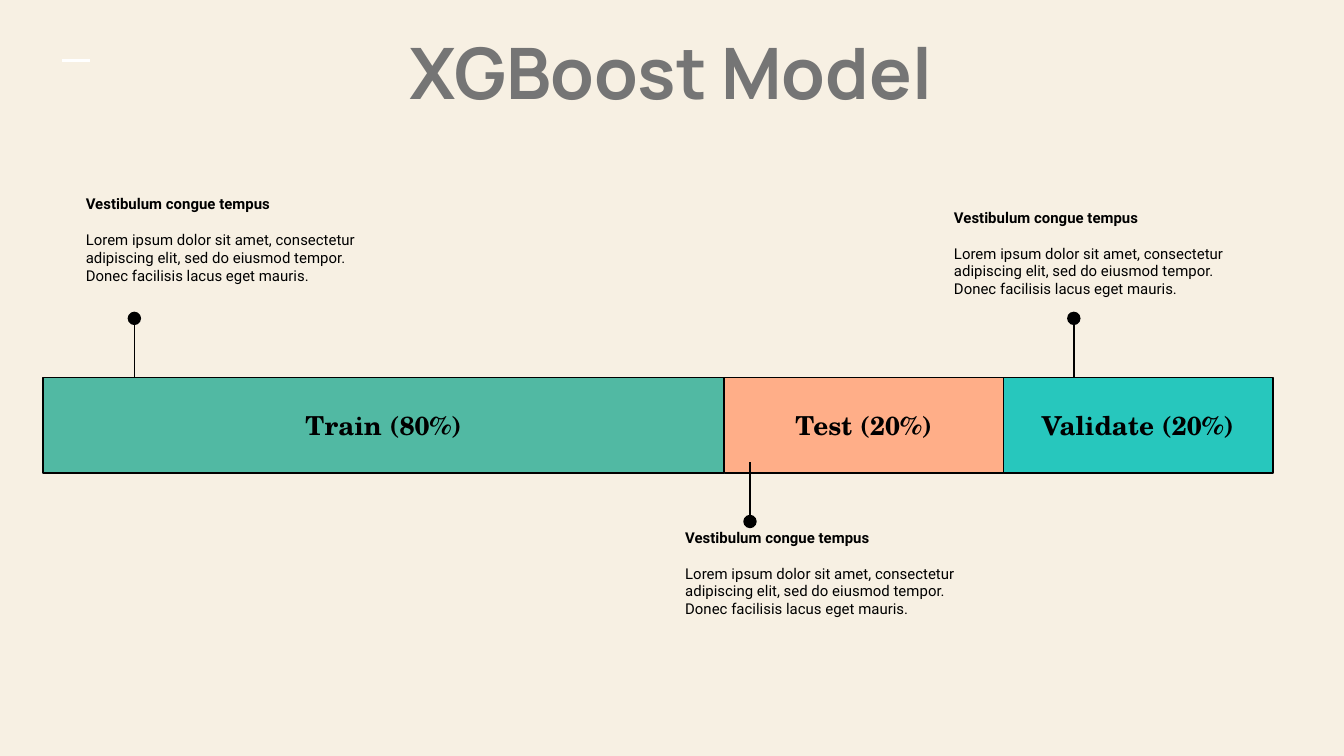
from lxml.etree import SubElement
from pptx import Presentation
from pptx.dml.color import RGBColor
from pptx.enum.shapes import MSO_CONNECTOR as Link, MSO_SHAPE as Shape
from pptx.enum.text import MSO_ANCHOR as Anchor, MSO_AUTO_SIZE as Fit, PP_ALIGN as Align
from pptx.oxml.ns import qn
from pptx.util import Pt

HEX = {
    "back": "F7F0E3", "title": "757575", "ink": "000000", "dash": "FFFFFF",
    "train": "51B9A3", "test": "FFAE88", "valid": "27C7BD",
}
HEAD = "Vestibulum congue tempus"
BODY = ("Lorem ipsum dolor sit amet, consectetur adipiscing elit, "
        "sed do eiusmod tempor. Donec facilisis lacus eget mauris.")
LEFT, TOP, HIGH = 23, 202.3, 51.1
DOT, STEM = 7.2, 28.1

# label, colour, bar width, label width, pin x, dot top, note corner
PARTS = [
    ("Train (80%)", "train", 365, 105, 72, 167, (38.9, 97.2)),
    ("Test (20%)", "test", 149.5, 96.5, 401.8, 275.8, (360, 275.8)),
    ("Validate (20%)", "valid", 144.5, 124, 575.3, 167, (504, 104.4)),
]


def color(name):
    return RGBColor.from_string(HEX[name])


class Deck:
    def __init__(self, wide, high):
        self.prs = Presentation()
        self.prs.slide_width, self.prs.slide_height = Pt(wide), Pt(high)
        self.slide = self.prs.slides.add_slide(self.prs.slide_layouts[5])
        fill = self.slide.background.fill
        fill.solid()
        fill.fore_color.rgb = color("back")

    def style(self, para, face, size, bold=True, tint="ink", align=Align.LEFT):
        font = para.font
        font.name, font.size, font.bold = face, Pt(size), bold
        font.color.rgb = color(tint)
        para.alignment = align

    def frame(self, shape):
        """Set even insets, top anchor and wrapping."""
        text = shape.text_frame
        text.margin_left = text.margin_right = Pt(7.2)
        text.margin_top = text.margin_bottom = Pt(7.2)
        text.vertical_anchor, text.word_wrap = Anchor.TOP, True
        text.auto_size = Fit.NONE
        return text

    def title(self, words, x, y, w, h):
        shape = self.slide.shapes.title
        shape.left, shape.top, shape.width, shape.height = map(Pt, (x, y, w, h))
        text = self.frame(shape)
        text.text = words
        self.style(text.paragraphs[0], "Manrope", 38, tint="title", align=Align.CENTER)

    def box(self, x, y, w, h):
        return self.frame(self.slide.shapes.add_textbox(*map(Pt, (x, y, w, h))))

    def label(self, words, mid, w):
        text = self.box(mid - w / 2, 212.2, w, 31.7)
        text.text = words
        self.style(text.paragraphs[0], "TeX Gyre Schola", 14, align=Align.CENTER)

    def note(self, x, y):
        text = self.box(x, y, 177, 74)
        text.text = HEAD
        head, body = text.paragraphs[0], text.add_paragraph()
        body.text = BODY
        self.style(head, "Roboto", 8)
        self.style(body, "Roboto", 8, bold=False)
        head.space_after = Pt(9.6)

    def shape(self, kind, x, y, w, h, tint):
        item = self.slide.shapes.add_shape(kind, *map(Pt, (x, y, w, h)))
        item.shadow.inherit = False
        item.fill.solid()
        item.fill.fore_color.rgb = color(tint)
        return item

    def bar(self, x, w, tint):
        item = self.shape(Shape.RECTANGLE, x, TOP, w, HIGH, tint)
        item.line.color.rgb, item.line.width = color("ink"), Pt(0.75)

    def line(self, x1, y1, x2, y2, tint="ink", width=0.75):
        link = self.slide.shapes.add_connector(
            Link.STRAIGHT, *map(Pt, (x1, y1, x2, y2)))
        link.line.color.rgb, link.line.width = color(tint), Pt(width)
        SubElement(link._element.spPr, qn("a:effectLst"))

    def pin(self, x, y):
        """Draw a dot with its top at y and a stem towards the bars."""
        if y < TOP:
            self.line(x, y + DOT, x, y + DOT + STEM)
        else:
            self.line(x, y, x, y - STEM)
        dot = self.shape(Shape.OVAL, x - DOT / 2, y, DOT, DOT, "ink")
        dot.line.fill.background()


def main():
    deck = Deck(720, 405)
    deck.line(33.5, 32.5, 48, 32.5, "dash", 1.5)
    deck.title("XGBoost Model", 92, 8, 535, 80.5)
    x = LEFT
    for words, tint, wide, span, pin, top, note in PARTS:
        deck.bar(x, wide, tint)
        deck.pin(pin, top)
        deck.note(*note)
        deck.label(words, x + wide / 2, span)
        x += wide
    deck.prs.save("out.pptx")


if __name__ == "__main__":
    main()
